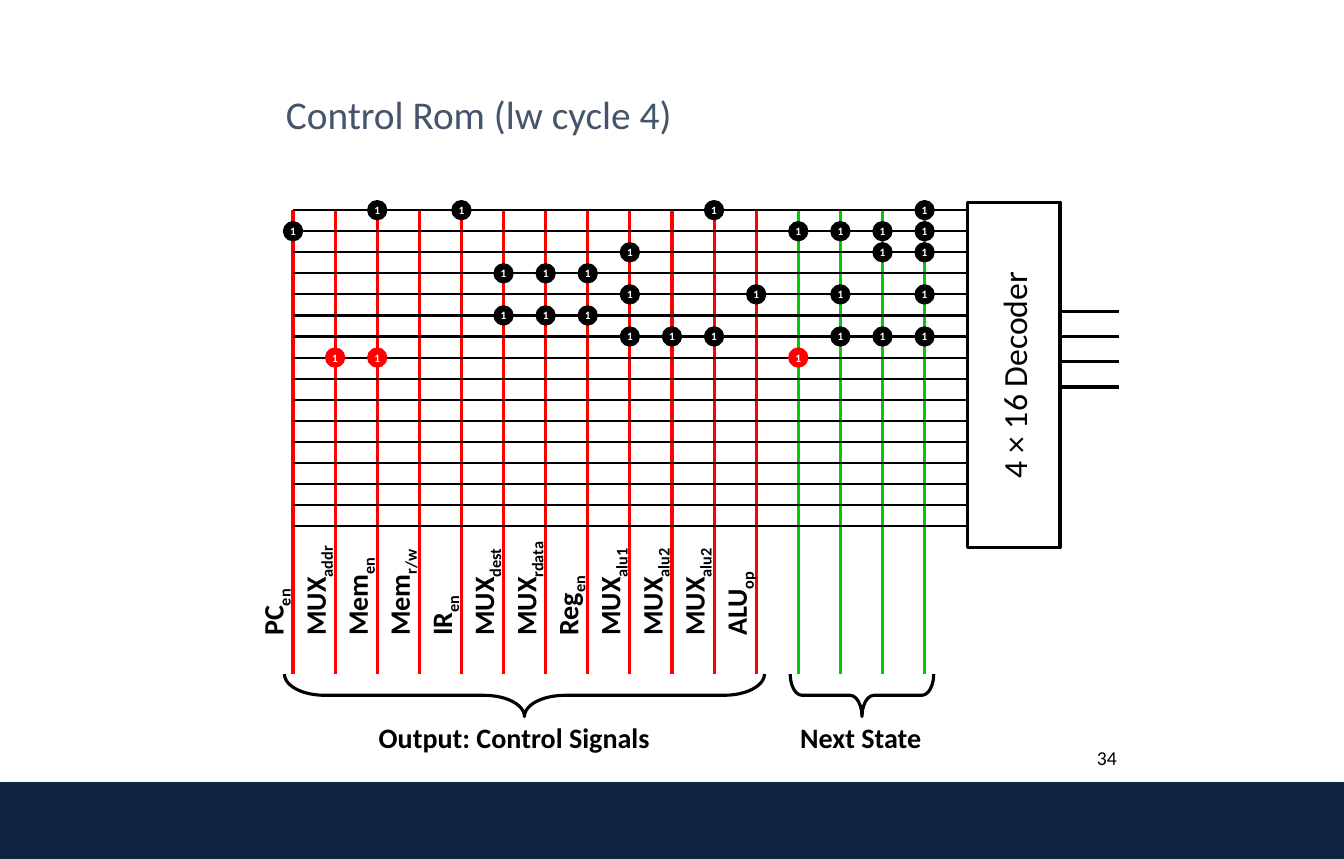
"""Build the control ROM slide for cycle 4 of the lw instruction."""
from dataclasses import dataclass

from lxml.etree import SubElement
from pptx import Presentation
from pptx.dml.color import RGBColor
from pptx.enum.shapes import MSO_CONNECTOR, MSO_SHAPE
from pptx.enum.text import MSO_ANCHOR, PP_ALIGN
from pptx.oxml import parse_xml
from pptx.oxml.ns import nsdecls, qn
from pptx.util import Inches, Pt

BLACK, WHITE, RED, GREEN = "000000", "FFFFFF", "FF0000", "00CC00"
NAVY, SLATE = "10253F", "44546A"
GRID_LEFT, GRID_TOP, GRID_BOTTOM = 2.9, 2.08, 6.67
COLUMN_STEP, ROW_STEP = 5 / 12, 5 / 24
COLUMN_COUNT, ROW_COUNT = 16, 16
DECODER_LEFT, DECODER_RIGHT = 9.57, 10.48
DOT_SIZE = 0.17
LABEL_HEIGHT, LABEL_BOTTOM, LABEL_OFFSET = 0.44, 6.39, 0.2


@dataclass(frozen=True)
class Signal:
    name: str
    suffix: str
    width: float


@dataclass(frozen=True)
class RomWord:
    columns: tuple[int, ...]
    color: str = BLACK


@dataclass(frozen=True)
class Group:
    caption: str
    caption_left: float
    caption_width: float
    center: float
    span: float
    curve: float


SIGNALS = [
    Signal("PC", "en", 0.69),
    Signal("MUX", "addr", 1.17),
    Signal("Mem", "en", 1.01),
    Signal("Mem", "r/w", 1.1),
    Signal("IR", "en", 0.62),
    Signal("MUX", "dest", 1.11),
    Signal("MUX", "rdata", 1.22),
    Signal("Reg", "en", 0.85),
    Signal("MUX", "alu1", 1.13),
    Signal("MUX", "alu2", 1.13),
    Signal("MUX", "alu2", 1.13),
    Signal("ALU", "op", 0.98),
]
ROM_WORDS = [
    RomWord((2, 4, 10, 15)),
    RomWord((0, 12, 13, 14, 15)),
    RomWord((8, 14, 15)),
    RomWord((5, 6, 7)),
    RomWord((8, 11, 13, 15)),
    RomWord((5, 6, 7)),
    RomWord((8, 9, 10, 13, 14, 15)),
    RomWord((1, 2, 12), RED),
]
GROUPS = [
    Group("Output: Control Signals", 3.65, 2.9, 5.19, 4.75, 0.95),
    Group("Next State", 7.82, 1.43, 8.53, 1.42, 0.28),
]


def rgb(color: str) -> RGBColor:
    """Turn a hex string into a colour."""
    return RGBColor.from_string(color)


def column_x(column: int) -> float:
    """Give the horizontal place of a ROM column."""
    return GRID_LEFT + column * COLUMN_STEP


def row_y(row: int) -> float:
    """Give the vertical place of a ROM row."""
    return GRID_TOP + row * ROW_STEP


def write(frame, text: str, *, size: float, color: str = BLACK, bold: bool = False,
          align=PP_ALIGN.LEFT, anchor=MSO_ANCHOR.TOP, wrap: bool = False, suffix: str = ""):
    """Write one formatted paragraph with an optional subscript."""
    frame.word_wrap = wrap
    frame.vertical_anchor = anchor
    para = frame.paragraphs[0]
    para.alignment = align
    for part in filter(None, (text, suffix)):
        span = para.add_run()
        span.text = part
        span.font.name = "Calibri"
        span.font.size = Pt(size)
        span.font.bold = bold
        span.font.color.rgb = rgb(color)
    if suffix:
        span.font._element.set("baseline", "-25000")
    return para


def add_text(page, left: float, top: float, width: float, height: float, text: str,
             *, rotation: float = 0, **style):
    """Add a text box."""
    box = page.shapes.add_textbox(Inches(left), Inches(top), Inches(width), Inches(height))
    box.rotation = rotation
    write(box.text_frame, text, **style)


def add_block(page, kind, left: float, top: float, width: float, height: float,
              *, fill: str = "", line: str = "", rotation: float = 0):
    """Add a preset shape without a shadow."""
    block = page.shapes.add_shape(kind, Inches(left), Inches(top), Inches(width), Inches(height))
    block.shadow.inherit = False
    block.rotation = rotation
    if fill:
        block.fill.solid()
        block.fill.fore_color.rgb = rgb(fill)
    else:
        block.fill.background()
    if line:
        block.line.color.rgb = rgb(line)
        block.line.width = Pt(2.25)
    else:
        block.line.fill.background()
    return block


def add_wire(page, x1: float, y1: float, x2: float, y2: float, color: str, width: float):
    """Add a straight line."""
    wire = page.shapes.add_connector(
        MSO_CONNECTOR.STRAIGHT, Inches(x1), Inches(y1), Inches(x2), Inches(y2))
    wire.line.color.rgb = rgb(color)
    wire.line.width = Pt(width)
    SubElement(wire.element.spPr, qn("a:effectLst"))


def add_frame(page):
    """Add the footer band, page number and title."""
    band = add_block(page, MSO_SHAPE.RECTANGLE, 0, 7.74, 13.3, 0.76, fill=NAVY)
    band.element.spPr.find(qn("a:effectLst")).append(parse_xml(
        f'<a:outerShdw {nsdecls("a")} blurRad="39370" dist="22860" dir="5400000">'
        '<a:srgbClr val="808080"><a:alpha val="35000"/></a:srgbClr></a:outerShdw>'))
    add_text(page, 8.82, 7.33, 2.33, 0.52, "34", size=14, align=PP_ALIGN.RIGHT, wrap=True)
    title = page.shapes.title
    title.left, title.top = Inches(2.73), Inches(0.17)
    title.width, title.height = Inches(8.33), Inches(1.25)
    para = write(title.text_frame, "Control Rom (lw cycle 4)", size=28, color=SLATE,
                 anchor=MSO_ANCHOR.BOTTOM, wrap=True)
    para.line_spacing = 0.9


def add_decoder(page):
    """Add the decoder and its four input wires."""
    decoder = add_block(page, MSO_SHAPE.RECTANGLE, 8.32, 3.25, 3.42, 0.92,
                        line=BLACK, rotation=270)
    write(decoder.text_frame, "4 × 16 Decoder", size=24, align=PP_ALIGN.CENTER,
          anchor=MSO_ANCHOR.MIDDLE)
    for index in range(4):
        y = 3.08 + index * 0.25
        add_wire(page, DECODER_RIGHT, y, 11.07, y, BLACK, 2.25)


def add_rom(page):
    """Add the ROM grid and its set bits."""
    for column in range(COLUMN_COUNT):
        x = column_x(column)
        color = RED if column < len(SIGNALS) else GREEN
        add_wire(page, x, GRID_TOP, x, GRID_BOTTOM, color, 2.25)
    for row in range(ROW_COUNT):
        add_wire(page, DECODER_LEFT, row_y(row), GRID_LEFT, row_y(row), BLACK, 1.5)
    for row, word in enumerate(ROM_WORDS):
        for column in word.columns:
            dot = add_block(page, MSO_SHAPE.OVAL, column_x(column) - DOT_SIZE / 2,
                            row_y(row) - DOT_SIZE / 2, DOT_SIZE, DOT_SIZE,
                            fill=word.color, line=word.color)
            write(dot.text_frame, "1", size=8, color=WHITE, bold=True,
                  align=PP_ALIGN.CENTER, anchor=MSO_ANCHOR.MIDDLE)


def add_labels(page):
    """Add the signal names, braces and captions."""
    for column, signal in enumerate(SIGNALS):
        left = column_x(column) - LABEL_OFFSET - signal.width / 2
        top = LABEL_BOTTOM - signal.width / 2 - LABEL_HEIGHT / 2
        add_text(page, left, top, signal.width, LABEL_HEIGHT, signal.name,
                 suffix=signal.suffix, rotation=270, size=20, bold=True)
    for group in GROUPS:
        brace = add_block(page, MSO_SHAPE.LEFT_BRACE, group.center - 0.21,
                          6.88 - group.span / 2, 0.42, group.span, line=BLACK, rotation=270)
        brace.adjustments[0] = group.curve
        add_text(page, group.caption_left, 7.08, group.caption_width, 0.44, group.caption,
                 size=20, bold=True)


def main():
    """Build and save the deck."""
    deck = Presentation()
    deck.slide_width, deck.slide_height = Inches(13.3), Inches(8.5)
    page = deck.slides.add_slide(deck.slide_layouts[5])
    add_frame(page)
    add_decoder(page)
    add_rom(page)
    add_labels(page)
    deck.save("out.pptx")


if __name__ == "__main__":
    main()
